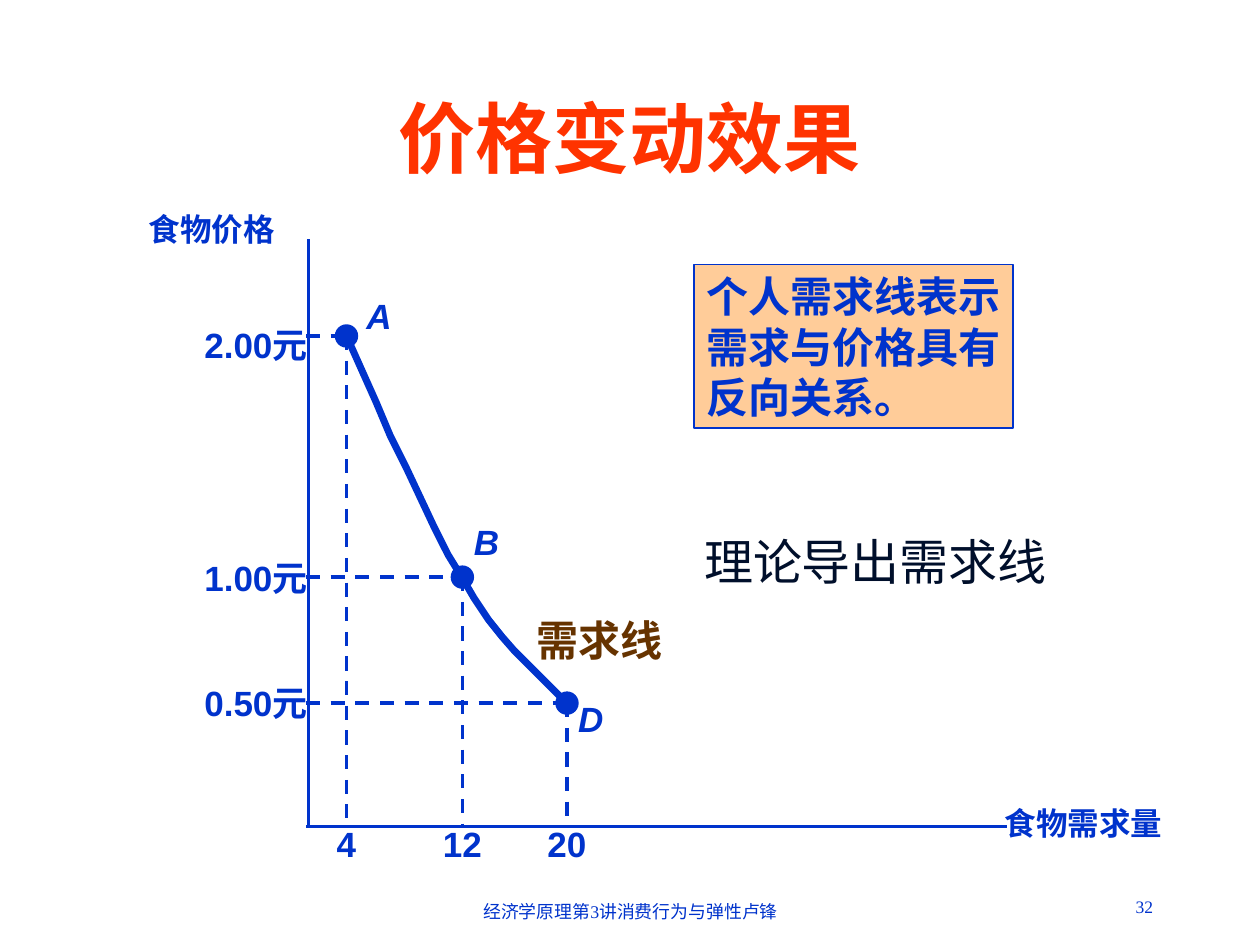
from pptx import Presentation
from pptx.dml.color import RGBColor
from pptx.enum.dml import MSO_LINE
from pptx.enum.shapes import MSO_CONNECTOR, MSO_SHAPE
from pptx.enum.text import MSO_ANCHOR, PP_ALIGN
from pptx.oxml.ns import qn
from pptx.util import Pt
from lxml.etree import SubElement

INK = {"blue": "0033CC", "red": "FF3300", "brown": "663300",
       "peach": "FFCC99", "navy": "000F2B"}
SANS, SERIF = "Arial", "Times New Roman"
LEFT, MID, RIGHT = PP_ALIGN.LEFT, PP_ALIGN.CENTER, PP_ALIGN.RIGHT


def tint(name):
    return RGBColor.from_string(INK[name])


def write(shape, lines, size, ink="blue", font=SANS, bold=True,
          slant=False, align=LEFT, wrap=False, anchor=MSO_ANCHOR.TOP):
    frame = shape.text_frame
    frame.word_wrap = wrap
    frame.vertical_anchor = anchor
    for i, line in enumerate(lines):
        para = frame.paragraphs[0] if i == 0 else frame.add_paragraph()
        para.alignment = align
        run = para.add_run()
        run.text = line
        run.font.size = Pt(size)
        run.font.name = font
        run.font.bold = bold
        run.font.italic = slant
        run.font.color.rgb = tint(ink)


def label(slide, box, text, size, **style):
    shape = slide.shapes.add_textbox(*map(Pt, box))
    write(shape, [text], size, **style)


def block(slide, kind, box, fill):
    shape = slide.shapes.add_shape(kind, *map(Pt, box))
    shape.shadow.inherit = False
    shape.fill.solid()
    shape.fill.fore_color.rgb = tint(fill)
    shape.line.color.rgb = tint("blue")
    shape.line.width = Pt(1)
    return shape


def rule(slide, x1, y1, x2, y2, dash=False):
    line = slide.shapes.add_connector(
        MSO_CONNECTOR.STRAIGHT, Pt(x1), Pt(y1), Pt(x2), Pt(y2))
    line.line.color.rgb = tint("blue")
    line.line.width = Pt(2)
    if dash:
        line.line.dash_style = MSO_LINE.DASH
    SubElement(line._element.spPr, qn("a:effectLst"))


def curve(slide, x, y, dots):
    """Draw an open line through dots, measured from (x, y)."""
    dots = [(x + dx, y + dy) for dx, dy in dots]
    pen = slide.shapes.build_freeform(*dots[0], scale=Pt(1))
    pen.add_line_segments(dots[1:], close=False)
    shape = pen.convert_to_shape()
    shape.shadow.inherit = False
    shape.fill.background()
    shape.line.color.rgb = tint("blue")
    shape.line.width = Pt(4)


def graph(slide, x, y, w, h):
    base = y + h
    curve(slide, x, y, [
        (21.6, 55), (38.2, 93.6), (46.8, 112.3), (55.4, 130.3),
        (63.4, 147.6), (71.3, 164.2), (79.9, 180), (87.8, 193.5),
        (95, 205.2), (103, 216.7), (110.9, 226.8), (118.1, 234.7),
        (125.3, 243.4), (133.2, 251.3), (147.6, 265)])
    rule(slide, x, y, x, base)
    rule(slide, x - 1.5, base, x + w, base)
    label(slide, (x - 98.6, y - 20.2, 86.4, 29), "食物价格", 18, align=RIGHT)
    label(slide, (x + w - 8.5, base - 16.5, 104.4, 29), "食物需求量", 18,
          align=RIGHT)
    label(slide, (x + 123.1, y + 211, 86.4, 36), "需求线", 24, ink="brown")

    # name, name offset, point, price, price offset, amount
    points = [("A", 4.3, -27, 21.6, 55.2, "2.00元", -10.6, "4"),
              ("B", -0.4, -36, 87.8, 193, "1.00元", -15.3, "12"),
              ("D", -0.7, -6.5, 147.6, 265, "0.50元", -16, "20")]
    size = 12.4
    for name, nx, ny, px, py, price, dy, amount in points:
        px, py = x + px, y + py
        rule(slide, x - 1.5, py, px, py, dash=True)
        rule(slide, px, py, px, base, dash=True)
        block(slide, MSO_SHAPE.OVAL,
              (px - size / 2, py - size / 2, size, size), "blue")
        label(slide, (px + nx, py + ny, 28.8, 31), name, 20, slant=True)
        label(slide, (x - 72, py + dy, 78.5, 31), price, 20, align=RIGHT)
        label(slide, (px - 18.4, base - 5.7, 36.8, 31), amount, 20, align=MID)


def notice(slide, x, y, w, h):
    shape = block(slide, MSO_SHAPE.RECTANGLE, (x, y, w, h), "peach")
    write(shape, ["个人需求线表示", "需求与价格具有", "反向关系。"], 24)


def footer(slide, x, y, w, h):
    style = dict(font=SERIF, bold=False, wrap=True)
    label(slide, (x, y + 2.9, 228.2, h), "经济学原理第3讲消费行为与弹性卢锋",
          10.2, align=MID, **style)
    label(slide, (x + w - 149.8, y, 149.8, h), "32", 10, align=RIGHT, **style)


def main():
    deck = Presentation()
    deck.slide_width, deck.slide_height = Pt(720), Pt(540)
    slide = deck.slides.add_slide(deck.slide_layouts[6])
    label(slide, (54, 48, 612, 60), "价格变动效果", 44, ink="red", font=SERIF,
          align=MID, wrap=True, anchor=MSO_ANCHOR.BOTTOM)
    graph(slide, 176.4, 136.8, 398.9, 335.5)
    notice(slide, 396.7, 151.2, 182.2, 93.6)
    label(slide, (395.3, 300.2, 259.2, 41), "理论导出需求线", 28, ink="navy",
          font=SERIF, bold=False, wrap=True)
    footer(slide, 246.2, 508.3, 419.8, 20.2)
    deck.save("out.pptx")


if __name__ == "__main__":
    main()
